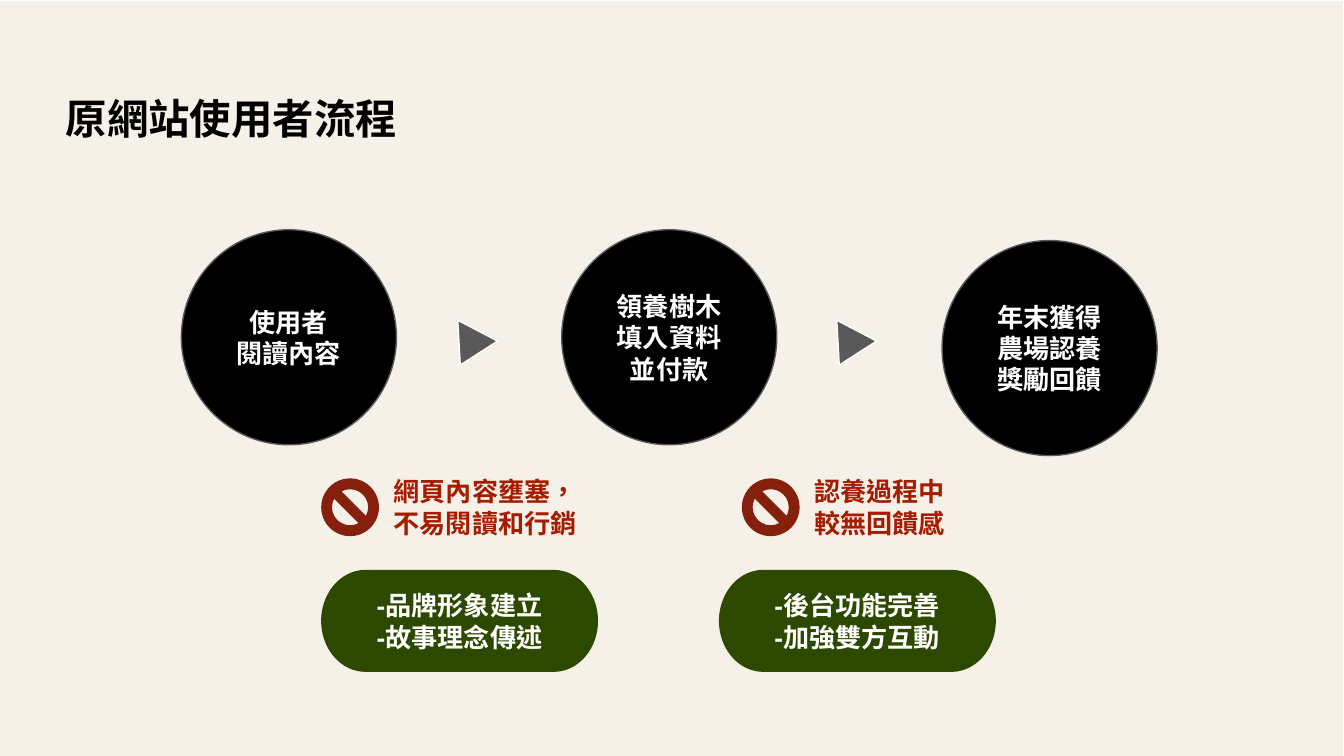
from lxml import etree
from pptx import Presentation
from pptx import util as u
from pptx.dml.color import RGBColor
from pptx.enum import shapes, text
from pptx.oxml import ns

Inches = u.Inches
COLORS = {
    "background": "F5F1E8",
    "white": "FFFFFF",
    "black": "000000",
    "gray": "595959",
    "problem": "A61C00",
    "prohibited": "85200C",
    "solution": "2D4900",
}


def add_filled(kind, box, fill, line=None):
    shape = slide.shapes.add_shape(kind, *map(Inches, box))
    shape.shadow.inherit = False
    shape.fill.solid()
    shape.fill.fore_color.rgb = RGBColor.from_string(COLORS[fill])
    if line:
        shape.line.color.rgb = RGBColor.from_string(COLORS[line])
        shape.line.width = u.Pt(0.75)
    else:
        shape.line.fill.background()
    return shape


def write(shape, content, color, size=14, align=None, anchor=text.MSO_ANCHOR.TOP):
    frame = shape.text_frame
    frame.text = content
    frame.word_wrap = True
    frame.vertical_anchor = anchor
    frame.margin_left = frame.margin_right = Inches(0.1)
    frame.margin_top = frame.margin_bottom = Inches(0.1)
    for paragraph in frame.paragraphs:
        paragraph.alignment = align
        for run in paragraph.runs:
            run.font.name = "Arial"
            run.font.size = u.Pt(size)
            run.font.bold = True
            run.font.color.rgb = RGBColor.from_string(COLORS[color])
            properties = run.font._element
            properties.set("lang", "zh-TW")
            etree.SubElement(properties, ns.qn("a:ea"), typeface="Arial")


presentation = Presentation()
presentation.slide_width = Inches(10)
presentation.slide_height = Inches(10) * 9 // 16
slide = presentation.slides.add_slide(presentation.slide_layouts[6])
preset = shapes.MSO_SHAPE
centered = {"align": text.PP_ALIGN.CENTER, "anchor": text.MSO_ANCHOR.MIDDLE}

add_filled(preset.RECTANGLE, (-0.04, 0, 10.04, 5.68), "background", "white")

title = slide.shapes.add_textbox(Inches(0.39), Inches(0.59), Inches(9.32), Inches(0.63))
write(title, "原網站使用者流程", "black", size=22.2)

steps = [
    (1.71, "使用者\n閱讀內容"),
    (1.71, "領養樹木\n填入資料並付款"),
    (1.79, "年末獲得農場認養獎勵回饋"),
]
for index, (top, label) in enumerate(steps):
    circle = add_filled(preset.OVAL, (1.35 + 2.83 * index, top, 1.6, 1.6), "black", "gray")
    write(circle, label, "white", **centered)

for left in (3.32, 6.14):
    arrow = add_filled(preset.ISOSCELES_TRIANGLE, (left, 2.36, 0.33, 0.29), "gray", "white")
    arrow.rotation = 327.3

problems = [(2.39, "網頁內容壅塞，不易閱讀和行銷"), (5.52, "認養過程中\n較無回饋感")]
for left, label in problems:
    icon = add_filled(preset.NO_SYMBOL, (left, 3.56, 0.43, 0.43), "prohibited")
    icon.adjustments[0] = 0.188
    note = slide.shapes.add_textbox(Inches(left + 0.44), Inches(3.44), Inches(1.6), Inches(0.67))
    write(note, label, "problem")

solutions = [(2.39, "-品牌形象建立\n-故事理念傳述"), (5.35, "-後台功能完善\n-加強雙方互動")]
for left, label in solutions:
    pill = add_filled(preset.FLOWCHART_TERMINATOR, (left, 4.24, 2.06, 0.76), "solution")
    write(pill, label, "white", **centered)

presentation.save("out.pptx")
